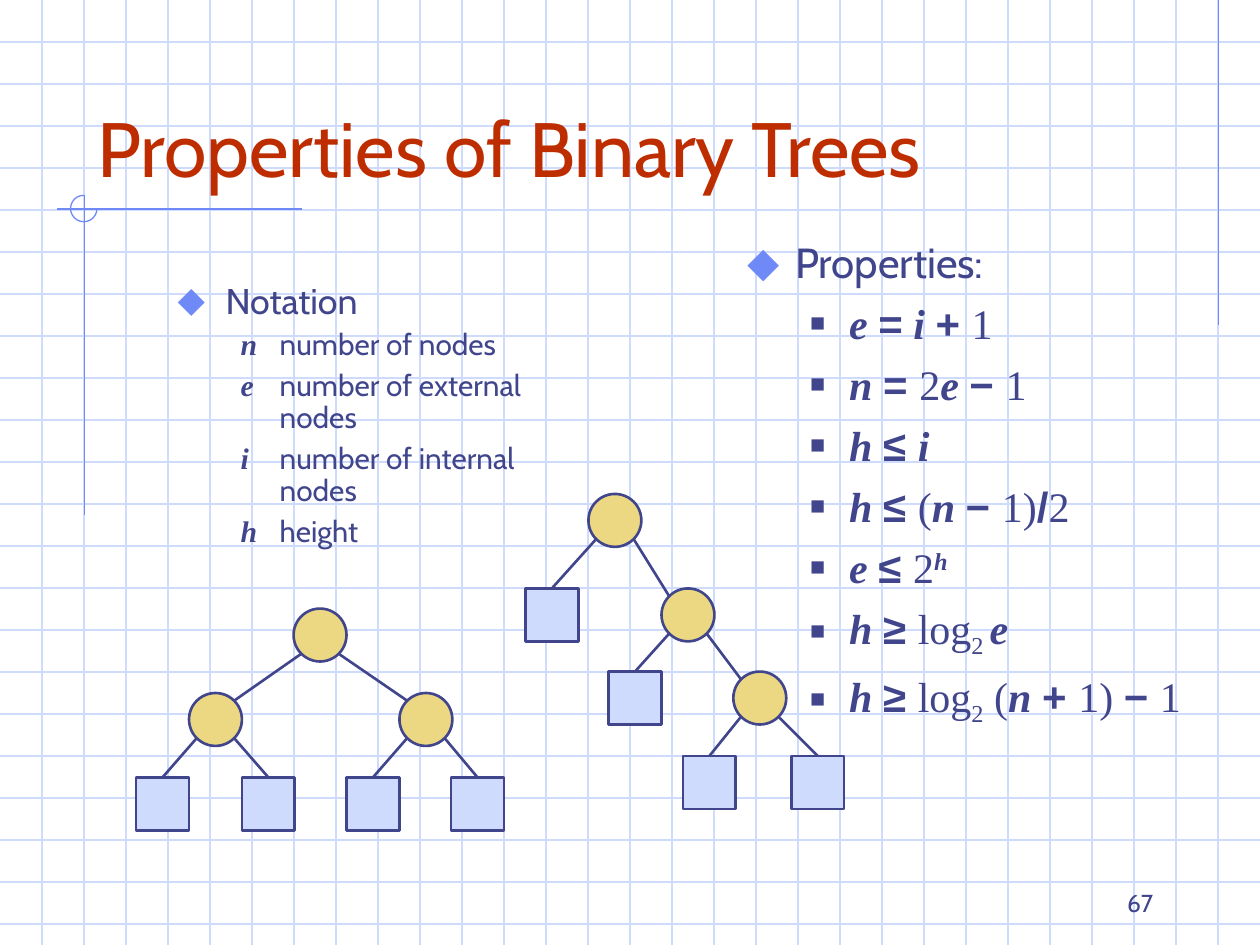
"""Build the slide on properties of binary trees, with two example trees."""
from lxml import etree
from pptx import Presentation
from pptx.dml.color import RGBColor
from pptx.enum.shapes import MSO_CONNECTOR, MSO_SHAPE
from pptx.enum.text import MSO_ANCHOR, MSO_AUTO_SIZE, PP_ALIGN
from pptx.oxml.ns import qn
from pptx.util import Inches, Pt

STRAIGHT = MSO_CONNECTOR.STRAIGHT
ELLIPSE, RECTANGLE, ARC = MSO_SHAPE.OVAL, MSO_SHAPE.RECTANGLE, MSO_SHAPE.ARC
TOP, BOTTOM = MSO_ANCHOR.TOP, MSO_ANCHOR.BOTTOM
LEFT, RIGHT = PP_ALIGN.LEFT, PP_ALIGN.RIGHT
NO_FIT = MSO_AUTO_SIZE.NONE

THEME = {
    "title": "BE2D00", "ink": "40458C", "accent": "6F89F7",
    "grid": "CFDBFD", "internal": "ECD882", "external": "CFDBFD",
    "title_size": 44, "notation_size": 20.4, "symbol_size": 17,
    "property_size": 24, "number_size": 14, "thin": 0.75, "thick": 1.5,
}
STYLES = {
    "body": ("Cabin", False, False, 0),
    "var": ("Times New Roman", True, True, 0),
    "num": ("Times New Roman", False, False, 0),
    "op": ("Arial", True, False, 0),
    "sup": ("Times New Roman", True, True, 30000),
    "sub": ("Times New Roman", False, False, -25000),
}
DIAMOND = ("⬥", THEME["accent"], 110)
SQUARE = ("■", THEME["ink"], 60)

TITLE = "Properties of Binary Trees"
PAGE_NUMBER = "67"
NOTATION = [
    ("n", "number of nodes"),
    ("e", "number of external nodes"),
    ("i", "number of internal nodes"),
    ("h", "height"),
]
PROPERTIES = [
    [("e ", "var"), ("=", "op"), (" i ", "var"), ("+ ", "op"), ("1", "num")],
    [("n ", "var"), ("= ", "op"), ("2", "num"), ("e ", "var"), ("− ", "op"), ("1", "num")],
    [("h ", "var"), ("≤ ", "op"), ("i", "var")],
    [("h ", "var"), ("≤ ", "op"), ("(", "num"), ("n ", "var"), ("− ", "op"),
     ("1)", "num"), ("/", "op"), ("2", "num")],
    [("e ", "var"), ("≤ ", "op"), ("2", "num"), ("h", "sup")],
    [("h ", "var"), ("≥ ", "op"), ("log", "num"), ("2 ", "sub"), ("e", "var")],
    [("h ", "var"), ("≥ ", "op"), ("log", "num"), ("2", "sub"), (" (", "num"),
     ("n ", "var"), ("+ ", "op"), ("1) ", "num"), ("− ", "op"), ("1", "num")],
]

BALANCED_TREE = (2.33, 4.83, [
    (1.5, 5.5, [(1.08, 6.17, []), (1.92, 6.17, [])]),
    (3.17, 5.5, [(2.75, 6.17, []), (3.58, 6.17, [])]),
])
SKEWED_TREE = (4.67, 3.92, [
    (4.17, 4.67, []),
    (5.25, 4.67, [
        (4.83, 5.33, []),
        (5.82, 5.33, [(5.42, 6, []), (6.28, 6, [])]),
    ]),
])
NODE_SIZE = 0.42
DIAGONAL = 0.15
WIDTH, HEIGHT, CELL = 10, 7.5, 1 / 3
ACCENT_LINES = [(9.67, 0, 9.67, 2.58), (2.4, 1.66, 0.45, 1.66), (0.67, 1.55, 0.67, 4.09)]


def color(name):
    return RGBColor.from_string(THEME[name])


def add_line(slide, ends, ink, weight):
    line = slide.shapes.add_connector(STRAIGHT, *map(Inches, ends))
    line.line.color.rgb = color(ink)
    line.line.width = Pt(THEME[weight])
    etree.SubElement(line.element.spPr, qn("a:effectLst"))
    return line


def draw_background(slide):
    for row in range(1, int(HEIGHT / CELL) + 1):
        add_line(slide, (0, row * CELL, WIDTH, row * CELL), "grid", "thin")
    for column in range(1, round(WIDTH / CELL)):
        add_line(slide, (column * CELL, 0, column * CELL, HEIGHT), "grid", "thin")
    for ends in ACCENT_LINES:
        add_line(slide, ends, "accent", "thin")
    corner = slide.shapes.add_shape(ARC, *map(Inches, (0.56, 1.55, 0.21, 0.21)))
    corner.shadow.inherit = False
    corner.fill.background()
    corner.line.color.rgb = color("accent")
    corner.line.width = Pt(THEME["thin"])
    corner.adjustments[0] = 0
    corner.adjustments[1] = 270 * 0.6


def place(holder, box, anchor):
    holder.left, holder.top, holder.width, holder.height = map(Inches, box)
    frame = holder.text_frame
    frame.word_wrap = True
    frame.auto_size = NO_FIT
    frame.vertical_anchor = anchor
    return frame


def add_runs(paragraph, pieces, size, ink="ink"):
    for text, style in pieces:
        run = paragraph.add_run()
        run.text = text
        font = run.font
        font.name, font.bold, font.italic, baseline = STYLES[style]
        font.size = Pt(size)
        font.color.rgb = color(ink)
        if baseline:
            run._r.get_or_add_rPr().set("baseline", str(baseline))


def set_bullet(paragraph, bullet, margin, hanging):
    props = paragraph._p.get_or_add_pPr()
    props.set("marL", str(Inches(margin)))
    props.set("indent", str(-Inches(hanging)))
    if bullet is None:
        etree.SubElement(props, qn("a:buNone"))
        return
    mark, ink, percent = bullet
    tint = etree.SubElement(props, qn("a:buClr"))
    etree.SubElement(tint, qn("a:srgbClr")).set("val", ink)
    etree.SubElement(props, qn("a:buSzPct")).set("val", str(percent * 1000))
    etree.SubElement(props, qn("a:buChar")).set("char", mark)


def fill_list(frame, heading, heading_size, items, item_size, bullet, before, spacing):
    first = frame.paragraphs[0]
    set_bullet(first, DIAMOND, 0.38, 0.38)
    first.space_before = Pt(0)
    add_runs(first, [(heading, "body")], heading_size)
    for pieces in items:
        item = frame.add_paragraph()
        item.level = 1
        set_bullet(item, bullet, 0.81, 0.31)
        item.space_before = Pt(before)
        item.line_spacing = spacing
        add_runs(item, pieces, item_size)


def draw_tree(slide, tree):
    left, top, children = tree
    kind, fill = (ELLIPSE, "internal") if children else (RECTANGLE, "external")
    node = slide.shapes.add_shape(kind, *map(Inches, (left, top, NODE_SIZE, NODE_SIZE)))
    node.shadow.inherit = False
    node.fill.solid()
    node.fill.fore_color.rgb = color(fill)
    node.line.color.rgb = color("ink")
    node.line.width = Pt(THEME["thick"])
    half = NODE_SIZE / 2
    for child in children:
        child_node = draw_tree(slide, child)
        child_left, child_top, grandchildren = child
        shift = DIAGONAL if child_left > left else -DIAGONAL
        start = (left + half + shift, top + half + DIAGONAL)
        end = (child_left + half - shift, child_top + half - DIAGONAL)
        edge = add_line(slide, start + end, "ink", "thick")
        if not grandchildren:
            edge.end_connect(child_node, 0)
    return node


def main():
    deck = Presentation()
    deck.slide_width, deck.slide_height = Inches(WIDTH), Inches(HEIGHT)
    slide = deck.slides.add_slide(deck.slide_layouts[3])
    title, notation, properties = slide.placeholders
    draw_background(slide)
    for holder in (title, notation, properties):
        slide.shapes.element.append(holder.element)

    heading = place(title, (0.67, 0.33, 8.5, 1.25), BOTTOM).paragraphs[0]
    heading.alignment = LEFT
    add_runs(heading, [(TITLE, "body")], THEME["title_size"], "title")

    symbols = [[(symbol + "\t", "var"), (meaning, "body")] for symbol, meaning in NOTATION]
    fill_list(place(notation, (1.31, 2.16, 3.15, 2.57), TOP), "Notation",
              THEME["notation_size"], symbols, THEME["symbol_size"], None, 5, 0.9)
    fill_list(place(properties, (5.83, 1.83, 3.75, 4), TOP), "Properties:",
              THEME["property_size"], PROPERTIES, THEME["property_size"], SQUARE, 6, 1.0)

    for tree in (BALANCED_TREE, SKEWED_TREE):
        draw_tree(slide, tree)

    page_box = (7.17, 6.83, 2.08, 0.5)
    page = place(slide.shapes.add_textbox(*map(Inches, page_box)), page_box, BOTTOM).paragraphs[0]
    page.alignment = RIGHT
    add_runs(page, [(PAGE_NUMBER, "body")], THEME["number_size"])
    deck.save("out.pptx")


if __name__ == "__main__":
    main()
